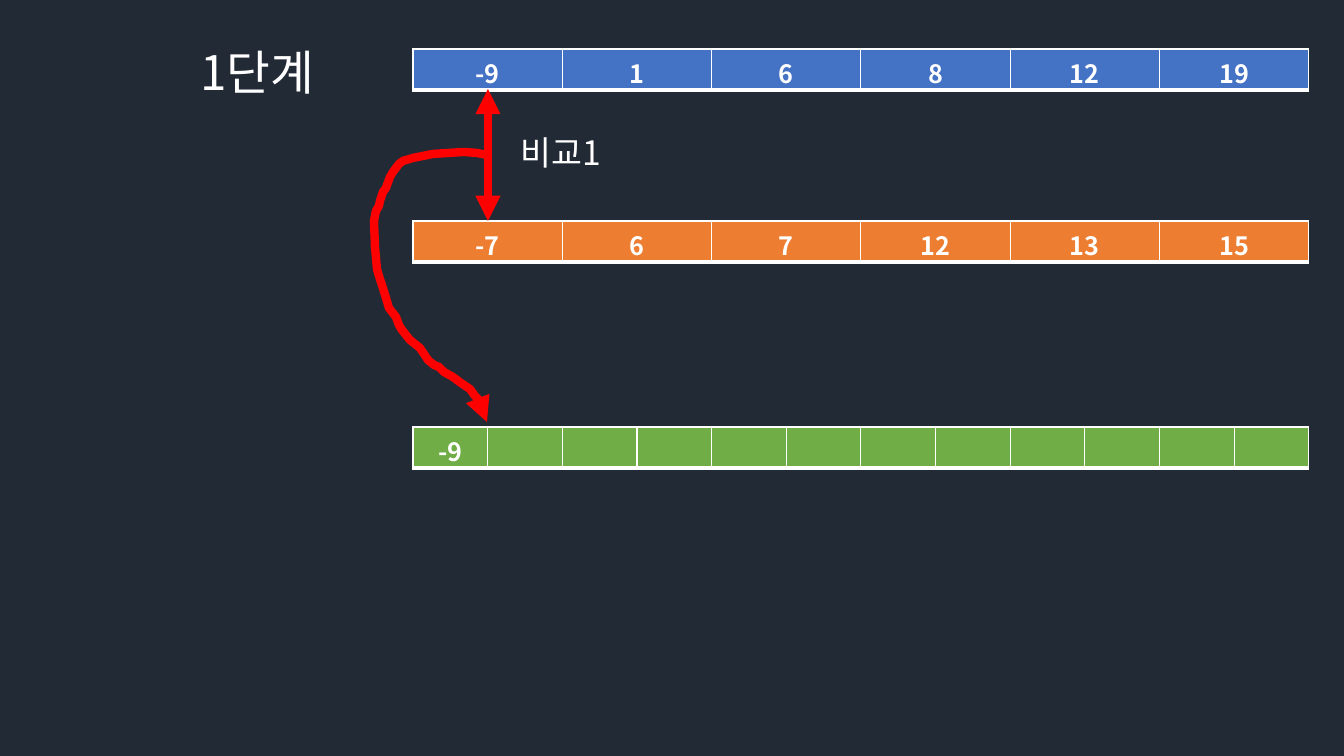
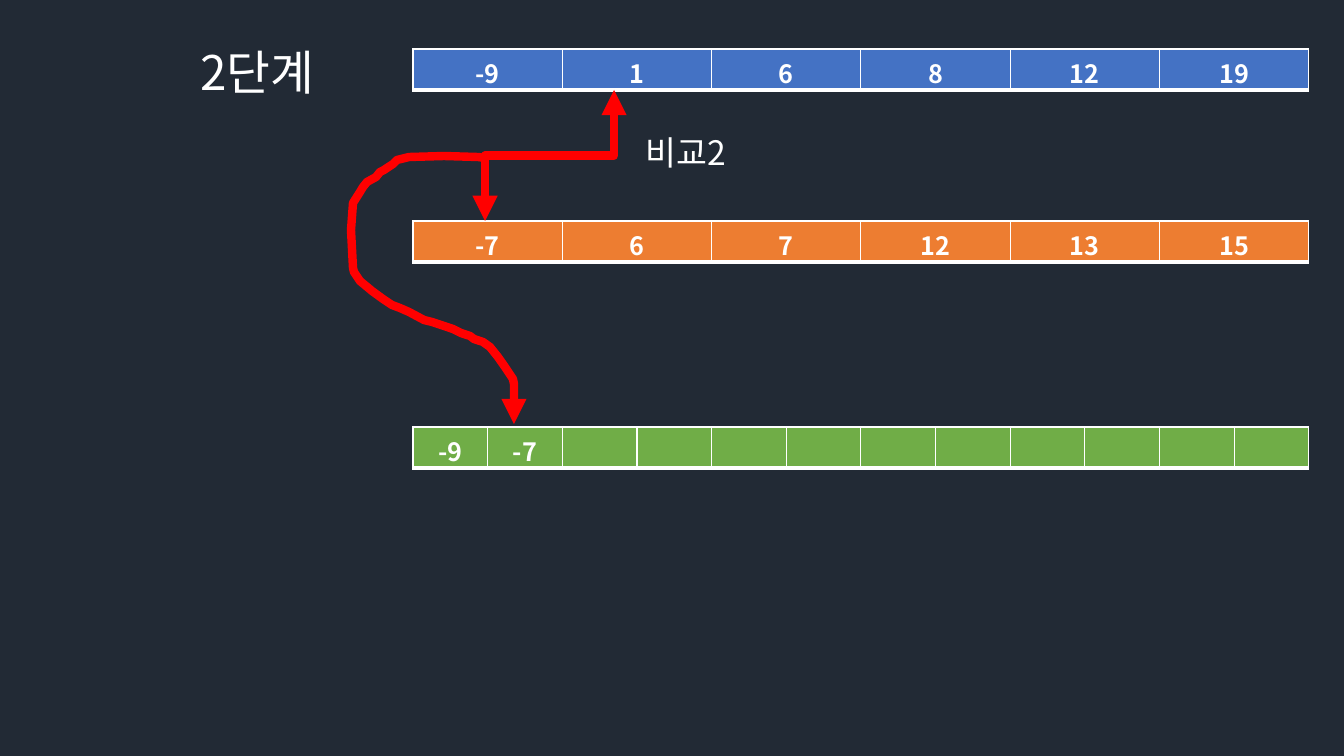
from lxml import etree
from pptx import Presentation
from pptx.dml.color import RGBColor
from pptx.enum.shapes import MSO_CONNECTOR
from pptx.enum.text import MSO_ANCHOR, MSO_AUTO_SIZE, PP_ALIGN
from pptx.oxml.ns import qn
from pptx.util import Inches, Pt

STRAIGHT, ELBOW = MSO_CONNECTOR.STRAIGHT, MSO_CONNECTOR.ELBOW
LEFT, CENTER = PP_ALIGN.LEFT, PP_ALIGN.CENTER
TOP, GROW = MSO_ANCHOR.TOP, MSO_AUTO_SIZE.SHAPE_TO_FIT_TEXT

NAVY = RGBColor(0x22, 0x2A, 0x35)
WHITE = RGBColor(0xFF, 0xFF, 0xFF)
BLUE = RGBColor(0x44, 0x72, 0xC4)
ORANGE = RGBColor(0xED, 0x7D, 0x31)
GREEN = RGBColor(0x70, 0xAD, 0x47)
RED = RGBColor(0xFF, 0x00, 0x00)

FONT = "Noto Sans CJK KR"
TITLE = {"size": Pt(34), "bold": False, "name": FONT}
LABEL = {"size": Pt(24), "bold": False, "name": FONT}
CELL = {"size": Pt(18), "bold": True, "name": FONT}
BORDERS = {"a:lnL": 1, "a:lnR": 1, "a:lnT": 1, "a:lnB": 3}

SCALE = Inches(1) / 100.8
TITLE_ONLY = 5


def px(*lengths):
    return [round(n * SCALE) for n in lengths]


class Deck:
    def __init__(self):
        self.prs = Presentation()
        self.prs.slide_width, self.prs.slide_height = px(1344, 756)
        fill = self.prs.slide_master.background.fill
        fill.solid()
        fill.fore_color.rgb = NAVY

    def slide(self, title):
        self.s = self.prs.slides.add_slide(self.prs.slide_layouts[TITLE_ONLY])
        sp = self.s.shapes.title
        sp.left, sp.top, sp.width, sp.height = px(190, 38, 153, 68)
        self.fill_box(sp, title, TITLE)

    def label(self, x, y, text):
        sp = self.s.shapes.add_textbox(*px(x, y, 131, 50))
        self.fill_box(sp, text, LABEL)

    def fill_box(self, sp, text, style):
        tf = sp.text_frame
        tf.word_wrap, tf.auto_size, tf.vertical_anchor = True, GROW, TOP
        self.add_text(tf.paragraphs[0], text, style, LEFT)

    def add_text(self, p, text, style, align):
        p.alignment = align
        r = p.add_run()
        r.text = text
        for name, value in style.items():
            setattr(r.font, name, value)
        r.font.color.rgb = WHITE
        # East Asian typeface for the Korean letters
        etree.SubElement(r.font._element, qn("a:ea"), typeface=FONT)

    def array(self, y, values, count, color):
        x, y, width, height = px(413, y, 896, 41)
        table = self.s.shapes.add_table(1, count, x, y, width, height).table
        for i, column in enumerate(table.columns):
            column.width = width // count
            cell = table.cell(0, i)
            self.border(cell)
            cell.fill.solid()
            cell.fill.fore_color.rgb = color
            if i < len(values):
                p = cell.text_frame.paragraphs[0]
                self.add_text(p, str(values[i]), CELL, CENTER)

    def border(self, cell):
        tc_pr = cell._tc.get_or_add_tcPr()
        for side, width in BORDERS.items():
            ln = etree.SubElement(tc_pr, qn(side), w=str(Pt(width)))
            solid = etree.SubElement(ln, qn("a:solidFill"))
            etree.SubElement(solid, qn("a:srgbClr"), val=str(WHITE))

    def stroke(self, sp, *ends):
        sp.line.color.rgb = RED
        sp.line.width = Pt(6)
        ln = sp._element.spPr.find(qn("a:ln"))
        for end in ends:
            etree.SubElement(ln, qn(end), type="triangle")

    def connector(self, kind, *ends):
        sp = self.s.shapes.add_connector(kind, *px(*ends))
        self.stroke(sp, "a:headEnd", "a:tailEnd")
        etree.SubElement(sp._element.spPr, qn("a:effectLst"))
        return sp

    def arrow(self, x1, y1, x2, y2):
        self.connector(STRAIGHT, x1, y1, x2, y2)

    def elbow(self, x1, y1, x2, y2):
        # A quarter turn makes the first leg vertical
        cx, cy = (x1 + x2) / 2, (y1 + y2) / 2
        dx, dy = (x2 - x1) / 2, (y2 - y1) / 2
        sp = self.connector(ELBOW, cx - dy, cy + dx, cx + dy, cy - dx)
        sp._element.spPr.find(qn("a:xfrm")).set("rot", "5400000")

    def trail(self, points):
        builder = self.s.shapes.build_freeform(*points[0], scale=SCALE)
        builder.add_line_segments(points[1:], close=False)
        sp = builder.convert_to_shape()
        sp.fill.background()
        sp.shadow.inherit = False
        self.stroke(sp, "a:tailEnd")


FIRST = [-9, 1, 6, 8, 12, 19]
SECOND = [-7, 6, 7, 12, 13, 15]

# Hand-drawn paths from the comparison to the merged array
TRAIL_1 = [
    (487, 155), (477, 153), (464, 152), (448, 153), (433, 154), (413, 158),
    (403, 161), (399, 164), (393, 172), (390, 177), (386, 188), (383, 192),
    (380, 201), (379, 206), (376, 211), (374, 221), (375, 247), (377, 269),
    (379, 276), (382, 285), (386, 298), (389, 308), (396, 317), (399, 325),
    (402, 330), (410, 340), (420, 348), (428, 360), (434, 365), (439, 367),
    (444, 372), (453, 377), (461, 383), (470, 389), (475, 396), (480, 401),
    (487, 422)]
TRAIL_2 = [
    (485, 158), (478, 157), (444, 156), (409, 157), (397, 160), (393, 164),
    (384, 170), (380, 172), (376, 177), (367, 182), (363, 187), (360, 192),
    (353, 203), (351, 230), (353, 268), (354, 272), (360, 281), (372, 291),
    (383, 299), (392, 305), (400, 308), (409, 312), (424, 320), (432, 322),
    (444, 326), (453, 329), (461, 333), (470, 336), (474, 339), (483, 342),
    (490, 347), (498, 357), (505, 367), (513, 379), (514, 384), (514, 424)]

deck = Deck()
steps = [
    ([-9], 511, deck.arrow, (488, 89, 488, 221), TRAIL_1),
    ([-9, -7], 636, deck.elbow, (485, 221, 614, 90), TRAIL_2)]

for number, (merged, label_x, compare, ends, trail) in enumerate(steps, 1):
    deck.slide(f"{number}단계")
    deck.array(49, FIRST, 6, BLUE)
    deck.array(221, SECOND, 6, ORANGE)
    deck.array(427, merged, 12, GREEN)
    deck.label(label_x, 127, f"비교{number}")
    compare(*ends)
    deck.trail(trail)

deck.prs.save("out.pptx")
